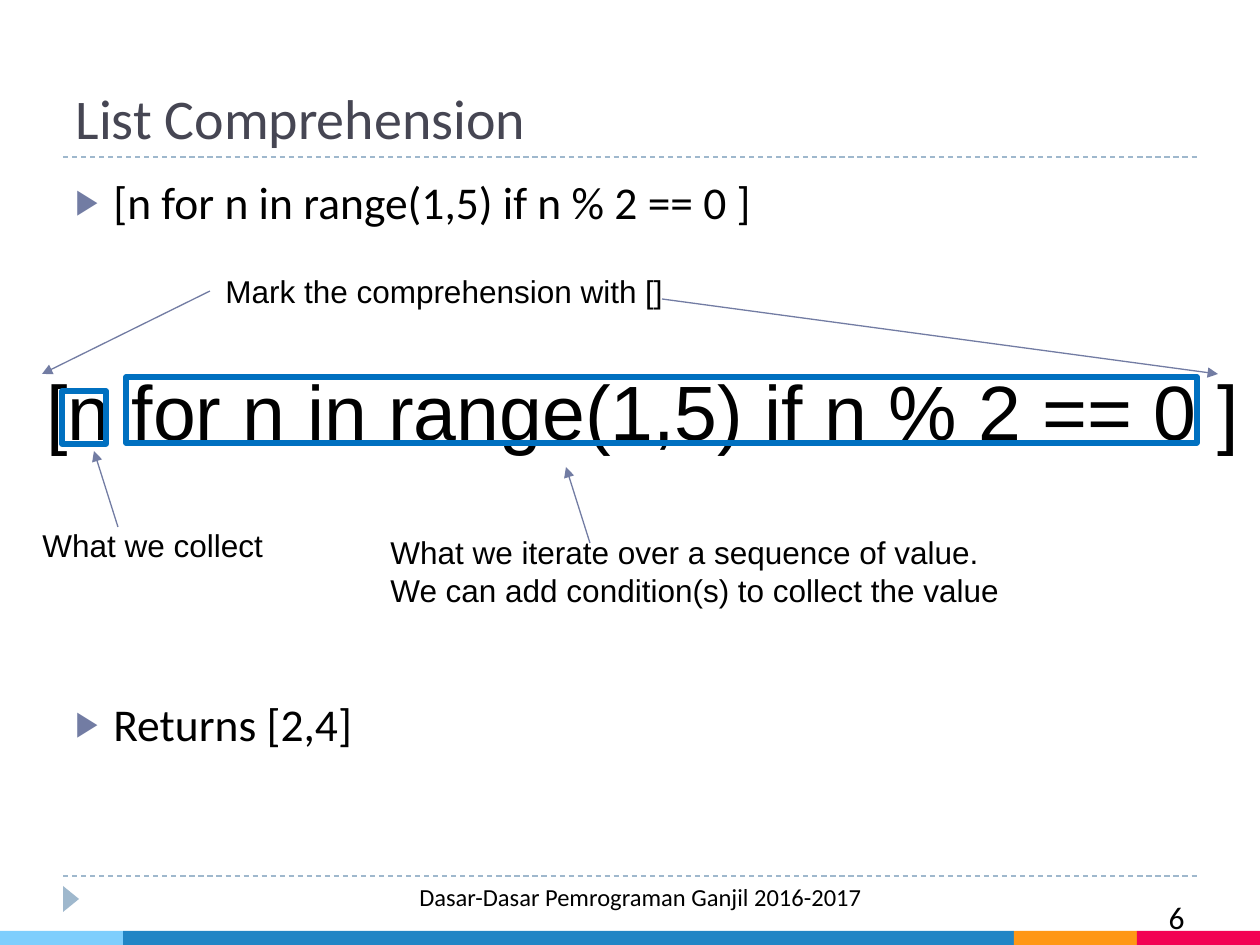
from lxml.etree import SubElement
from pptx import Presentation
from pptx.dml.color import RGBColor
from pptx.enum.dml import MSO_LINE_DASH_STYLE as Dash
from pptx.enum.shapes import MSO_CONNECTOR as Connector, MSO_SHAPE as Shape
from pptx.enum.text import MSO_ANCHOR as Anchor, MSO_AUTO_SIZE as AutoSize, PP_ALIGN as Align
from pptx.oxml.ns import qn
from pptx.util import Emu, Pt


def px(value):
    """Turn pixels into EMU."""
    return Emu(round(value * 914400 / 126))


def color(value):
    """Turn a hex string into a colour."""
    return RGBColor.from_string(value)


def add_bullet(paragraph, indent, fill):
    """Give a paragraph a hanging triangle bullet."""
    properties = paragraph._p.get_or_add_pPr()
    properties.set("marL", str(px(indent)))
    properties.set("indent", str(-px(indent)))
    bullet_color = SubElement(properties, qn("a:buClr"))
    SubElement(bullet_color, qn("a:srgbClr"), val=fill)
    SubElement(properties, qn("a:buSzPct"), val="76000")
    SubElement(properties, qn("a:buFont"), typeface="Arial")
    SubElement(properties, qn("a:buChar"), char="▶")


def write_text(frame, *lines, font="Arial", size=18, fill="000000", align=Align.LEFT,
               anchor=Anchor.TOP, wrap=True, bullet=None, gap=0):
    """Fill a text frame with one paragraph per line."""
    frame.auto_size = AutoSize.NONE
    frame.word_wrap = wrap
    frame.vertical_anchor = anchor
    for index, line in enumerate(lines):
        paragraph = frame.add_paragraph() if index else frame.paragraphs[0]
        paragraph.text = line
        paragraph.alignment = align
        if index:
            paragraph.space_before = Pt(gap)
        if bullet:
            add_bullet(paragraph, 38, bullet)
        paragraph.font.name = font
        paragraph.font.size = Pt(size)
        paragraph.font.color.rgb = color(fill)


class SlideBuilder:
    """Hold the style and the current slide."""

    heading_font = "Calibri"
    heading = "464653"
    accent = "727CA3"
    pale = "9FB8CD"
    frame = "0070C0"

    def __init__(self, slide):
        """Keep the slide to draw on."""
        self.slide = slide

    def title(self, text, *box):
        """Move and fill the title placeholder."""
        shape = self.slide.shapes.title
        shape.left, shape.top, shape.width, shape.height = map(px, box)
        write_text(shape.text_frame, text, font=self.heading_font, size=32,
                   fill=self.heading, anchor=Anchor.BOTTOM)

    def text(self, box, *lines, **text_format):
        """Add a text box."""
        shape = self.slide.shapes.add_textbox(*map(px, box))
        write_text(shape.text_frame, *lines, **text_format)

    def shape(self, kind, *box, fill=None, outline=None, rotation=0):
        """Add a preset shape that is filled or outlined."""
        shape = self.slide.shapes.add_shape(kind, *map(px, box))
        shape.shadow.inherit = False
        shape.rotation = rotation
        if fill:
            shape.fill.solid()
            shape.fill.fore_color.rgb = color(fill)
        else:
            shape.fill.background()
        if outline:
            shape.line.color.rgb = color(outline)
            shape.line.width = Pt(3)
        else:
            shape.line.fill.background()

    def line(self, *ends, stroke):
        """Add a thin straight line."""
        connector = self.slide.shapes.add_connector(Connector.STRAIGHT, *map(px, ends))
        connector.line.color.rgb = color(stroke)
        connector.line.width = Pt(0.75)
        SubElement(connector._element.spPr, qn("a:effectLst"))
        return connector.line

    def divider(self, y):
        """Add a dashed rule across the slide."""
        self.line(63, y, 1197, y, stroke=self.pale).dash_style = Dash.DASH

    def arrow(self, *ends):
        """Add a line with a triangle head at its end."""
        line = self.line(*ends, stroke=self.accent)
        SubElement(line._get_or_add_ln(), qn("a:tailEnd"), type="triangle")


def main():
    """Build the list comprehension slide."""
    presentation = Presentation()
    presentation.slide_width, presentation.slide_height = px(1260), px(945)
    builder = SlideBuilder(presentation.slides.add_slide(presentation.slide_layouts[5]))
    calibri = builder.heading_font
    comprehension = "[n for n in range(1,5) if n % 2 == 0 ]"

    for y in (876, 157):
        builder.divider(y)
    builder.shape(Shape.ISOSCELES_TRIANGLE, 58, 891, 26, 16, fill=builder.pale, rotation=90)
    builder.text((924, 892, 273, 50), "6", font=calibri, align=Align.RIGHT)

    edges = (0, 123, 1014, 1137, 1260)
    bar_colors = ("7ECEFD", "2185C5", "FF9715", "F20253")
    for left, right, fill in zip(edges, edges[1:], bar_colors):
        builder.shape(Shape.RECTANGLE, left, 931, right - left, 14, fill=fill)

    builder.title("List Comprehension", 63, 21, 1134, 136)
    builder.text((63, 168, 1134, 680), comprehension, "Returns [2,4]", font=calibri,
                 size=26, bullet=builder.accent, gap=267)
    builder.text((399, 876, 483, 50), "Dasar-Dasar Pemrograman Ganjil 2016-2017",
                 font=calibri, size=14, align=Align.CENTER)

    builder.text((34, 357, 1220, 106), comprehension, size=44, wrap=False)
    builder.text((213, 266, 462, 50), "Mark the comprehension with []", wrap=False)
    builder.text((30, 520, 246, 50), "What we collect", wrap=False)
    builder.text((378, 527, 638, 88), "What we iterate over a sequence of value. "
                 "We can add condition(s) to collect the value")

    for ends in ((210, 291, 42, 374), (662, 299, 1218, 374),
                 (118, 527, 94, 451), (590, 543, 566, 467)):
        builder.arrow(*ends)
    for box in ((62, 391, 44, 53), (126, 377, 1071, 66)):
        builder.shape(Shape.RECTANGLE, *box, outline=builder.frame)

    presentation.save("out.pptx")


if __name__ == "__main__":
    main()
